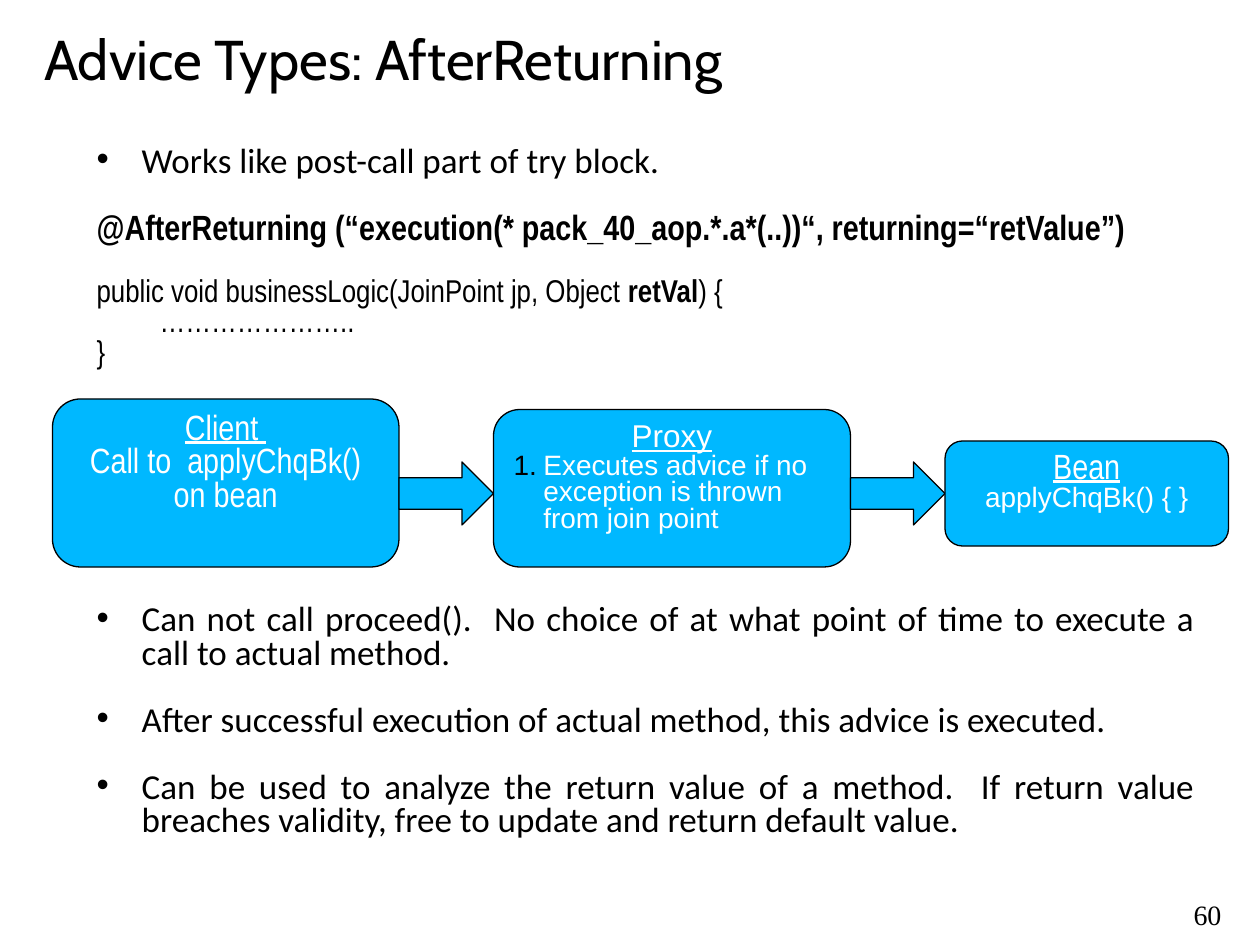
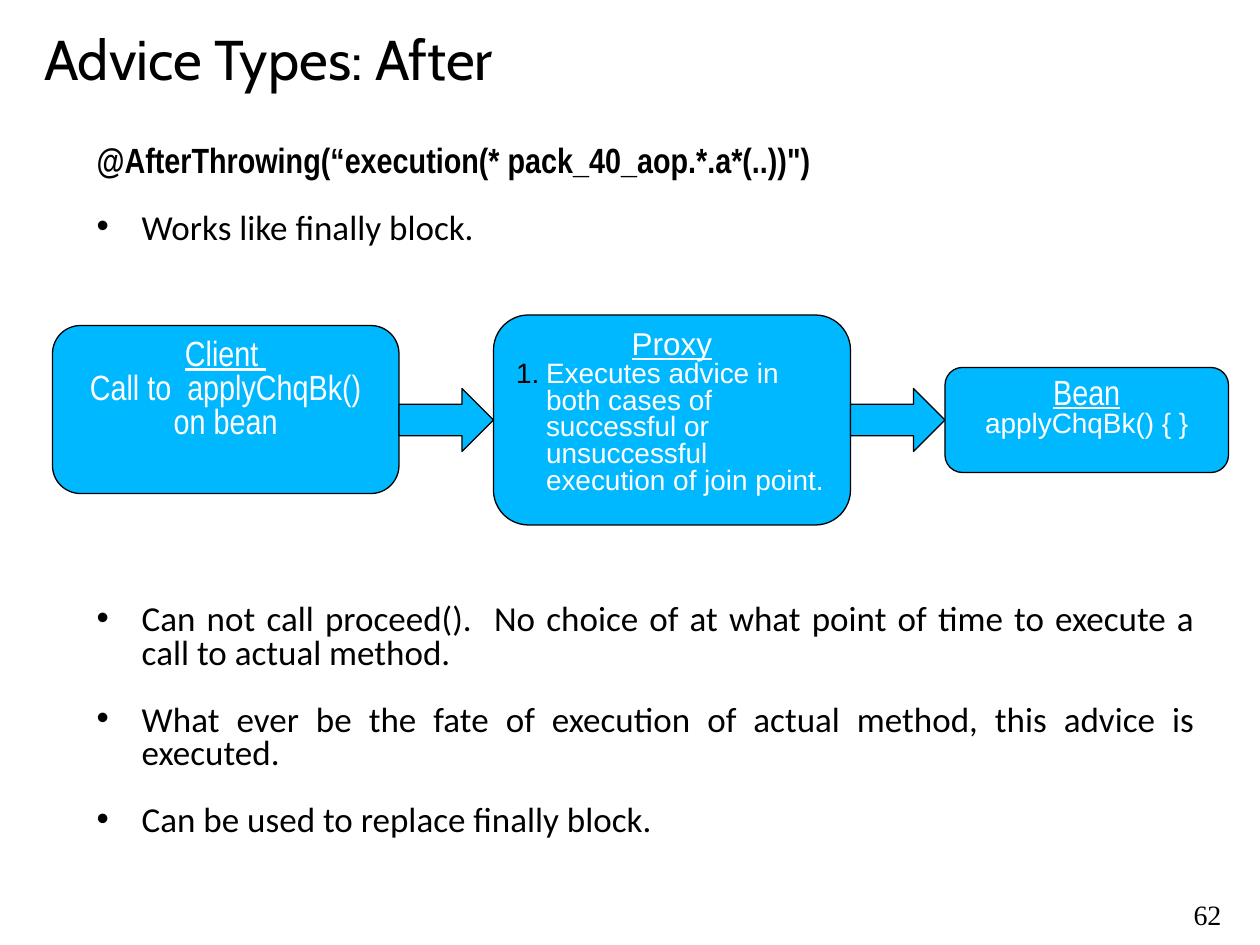
import pptx
import pptx.dml.color
import pptx.enum.shapes
import pptx.enum.text
import pptx.oxml.ns
import pptx.util
from dataclasses import dataclass, field
from lxml import etree

Pt = pptx.util.Pt
ALIGN = pptx.enum.text.PP_ALIGN
SHAPE = pptx.enum.shapes.MSO_SHAPE

# The slide is a grid of 120 columns by 90 rows, twelve to the inch.
CELL = pptx.util.Inches(1) // 12
COLUMNS, ROWS = 120, 90
CONTENT_LAYOUT = 3


def style(font, size, color="000000", align=ALIGN.LEFT, before=0, spacing=0.8,
          left=0, hang=0, marker=None, **font_format):
    """Describe a paragraph; left and hang are in columns."""
    return {
        "font": {"name": font, "size": Pt(size), **font_format},
        "color": color,
        "format": {"alignment": align, "space_before": Pt(before),
                   "space_after": Pt(0), "line_spacing": spacing},
        "left": left, "hang": hang, "marker": marker,
    }


BULLET = ("buChar", {"char": "•"})
NUMBER = ("buAutoNum", {"type": "arabicPeriod"})
WHITE = "FFFFFF"


@dataclass(frozen=True)
class Theme:
    fill: str = "00B8FF"
    outline: str = "000000"
    outline_width: float = 0.75
    marker: str = "000000"
    styles: dict = field(default_factory=lambda: {
        "title": style("Cabin", 32, spacing=1.0),
        "page number": style("Times New Roman", 16, align=ALIGN.CENTER),
        "point": style("Calibri", 20, before=19, left=4.3, hang=4.3, marker=BULLET),
        "note": style("Calibri", 20, align=ALIGN.JUSTIFY, before=19,
                      left=4.3, hang=4.3, marker=BULLET),
        "annotation": style("Arial Narrow", 20, before=19, bold=True),
        "signature": style("Arial Narrow", 18, before=18),
        "code": style("Arial Narrow", 18),
        "code body": style("Arial Narrow", 18, left=6),
        "box title": style("Arial Narrow", 20, WHITE, ALIGN.CENTER, underline=True),
        "box text": style("Arial Narrow", 20, WHITE, ALIGN.CENTER),
        "proxy title": style("Arial", 18, WHITE, ALIGN.CENTER, underline=True),
        "proxy step": style("Arial", 16, WHITE, left=2.85, hang=2.85, marker=NUMBER),
        "method": style("Arial", 16, WHITE, ALIGN.CENTER),
    })


THEME = Theme()


def cells(*counts):
    return [round(count * CELL) for count in counts]


def rgb(color):
    return pptx.dml.color.RGBColor.from_string(color)


def apply(target, values):
    for name, value in values.items():
        setattr(target, name, value)


def set_marker(para, look):
    """Set the indents and the bullet or number of a paragraph."""
    properties = para._p.get_or_add_pPr()
    left, indent = cells(look["left"], -look["hang"])
    properties.set("marL", str(left))
    properties.set("indent", str(indent))
    qn = pptx.oxml.ns.qn
    if look["marker"] is None:
        etree.SubElement(properties, qn("a:buNone"))
        return
    color = etree.SubElement(properties, qn("a:buClr"))
    etree.SubElement(color, qn("a:srgbClr"), val=THEME.marker)
    tag, attributes = look["marker"]
    etree.SubElement(properties, qn(f"a:{tag}"), **attributes)


def write(frame, lines):
    """Fill a frame with (style, text) lines; text may be (text, format) spans."""
    apply(frame, {"word_wrap": True, "auto_size": pptx.enum.text.MSO_AUTO_SIZE.NONE})
    for index, (name, text) in enumerate(lines):
        para = frame.add_paragraph() if index else frame.paragraphs[0]
        look = THEME.styles[name]
        set_marker(para, look)
        apply(para, look["format"])
        if index == 0:
            para.space_before = Pt(0)
        for words, extra in [(text, {})] if isinstance(text, str) else text:
            span = para.add_run()
            span.text = words
            apply(span.font, {**look["font"], **extra})
            span.font.color.rgb = rgb(look["color"])


def place_text(shape, box, lines):
    apply(shape, dict(zip(("left", "top", "width", "height"), cells(*box))))
    write(shape.text_frame, lines)


def add_block(page, kind, box, lines=()):
    """Add a filled, outlined shape with text starting at its top."""
    block = page.shapes.add_shape(kind, *cells(*box))
    block.shadow.inherit = False
    block.fill.solid()
    block.fill.fore_color.rgb = rgb(THEME.fill)
    block.line.color.rgb = rgb(THEME.outline)
    block.line.width = Pt(THEME.outline_width)
    block.text_frame.vertical_anchor = pptx.enum.text.MSO_ANCHOR.TOP
    write(block.text_frame, lines)


def add_call_flow(page, left, middle, proxy_rise, proxy_height, step):
    """Draw client, proxy and bean from left to right around a middle row."""
    gap = 9
    stages = [
        (33, 8 + 1, 16, [("box title", "Client "),
                         ("box text", "Call to  applyChqBk() on bean")]),
        (34, proxy_rise, proxy_height, [("proxy title", "Proxy"), ("proxy step", step)]),
        (27, 5, 10, [("box title", "Bean"), ("method", "applyChqBk() { }")]),
    ]
    for index, (width, rise, height, lines) in enumerate(stages):
        if index:
            add_block(page, SHAPE.RIGHT_ARROW, (left - gap, middle - 3, gap, 6))
        add_block(page, SHAPE.ROUNDED_RECTANGLE,
                  (left, middle - rise, width, height), lines)
        left += width + gap


def add_advice_page(deck, title, number, intro, intro_height, flow, notes):
    page = deck.slides.add_slide(deck.slide_layouts[CONTENT_LAYOUT])
    first, second = list(page.placeholders)[1:3]
    place_text(page.shapes.title, (3, 0, 114, 11), [("title", title)])
    place_text(first, (8, 13.33, 107, intro_height), intro)
    add_call_flow(page, 5, **flow)
    place_text(second, (8, 57, 107, 24.7), [("note", note) for note in notes])
    number_box = page.shapes.add_textbox(*cells(108.25, 85.5, 13.5, 3.8))
    write(number_box.text_frame, [("page number", number)])


PROCEED_NOTE = ("Can not call proceed().  No choice of at what point of time "
                "to execute a call to actual method.")


def main():
    deck = pptx.Presentation()
    deck.slide_width, deck.slide_height = cells(COLUMNS, ROWS)
    add_advice_page(
        deck, "Advice Types: AfterReturning", "60",
        intro=[
            ("point", "Works like post-call part of try block."),
            ("annotation", "@AfterReturning (“execution(* pack_40_aop.*.a*(..))“, "
                           "returning=“retValue”)"),
            ("signature", [("public void businessLogic(JoinPoint jp, Object ", {}),
                           ("retVal", {"bold": True}), (") {", {})]),
            ("code body", "………………….."),
            ("code", "}"),
        ],
        intro_height=22.3,
        flow={"middle": 47, "proxy_rise": 8, "proxy_height": 15,
              "step": "Executes advice if no exception is thrown from join point"},
        notes=[
            PROCEED_NOTE,
            "After successful execution of actual method, this advice is executed.",
            "Can be used to analyze the return value of a method.  If return value "
            "breaches validity, free to update and return default value.",
        ])
    add_advice_page(
        deck, "Advice Types: After", "62",
        intro=[
            ("annotation", "@AfterThrowing(“execution(* pack_40_aop.*.a*(..))\")"),
            ("point", "Works like finally block."),
        ],
        intro_height=10.8,
        flow={"middle": 40, "proxy_rise": 10, "proxy_height": 20,
              "step": "Executes advice in both cases of successful or unsuccessful "
                      "execution of join point."},
        notes=[
            PROCEED_NOTE,
            "What ever be the fate of execution of actual method, this advice is executed.",
            "Can be used to replace finally block.",
        ])
    deck.save("out.pptx")


if __name__ == "__main__":
    main()
